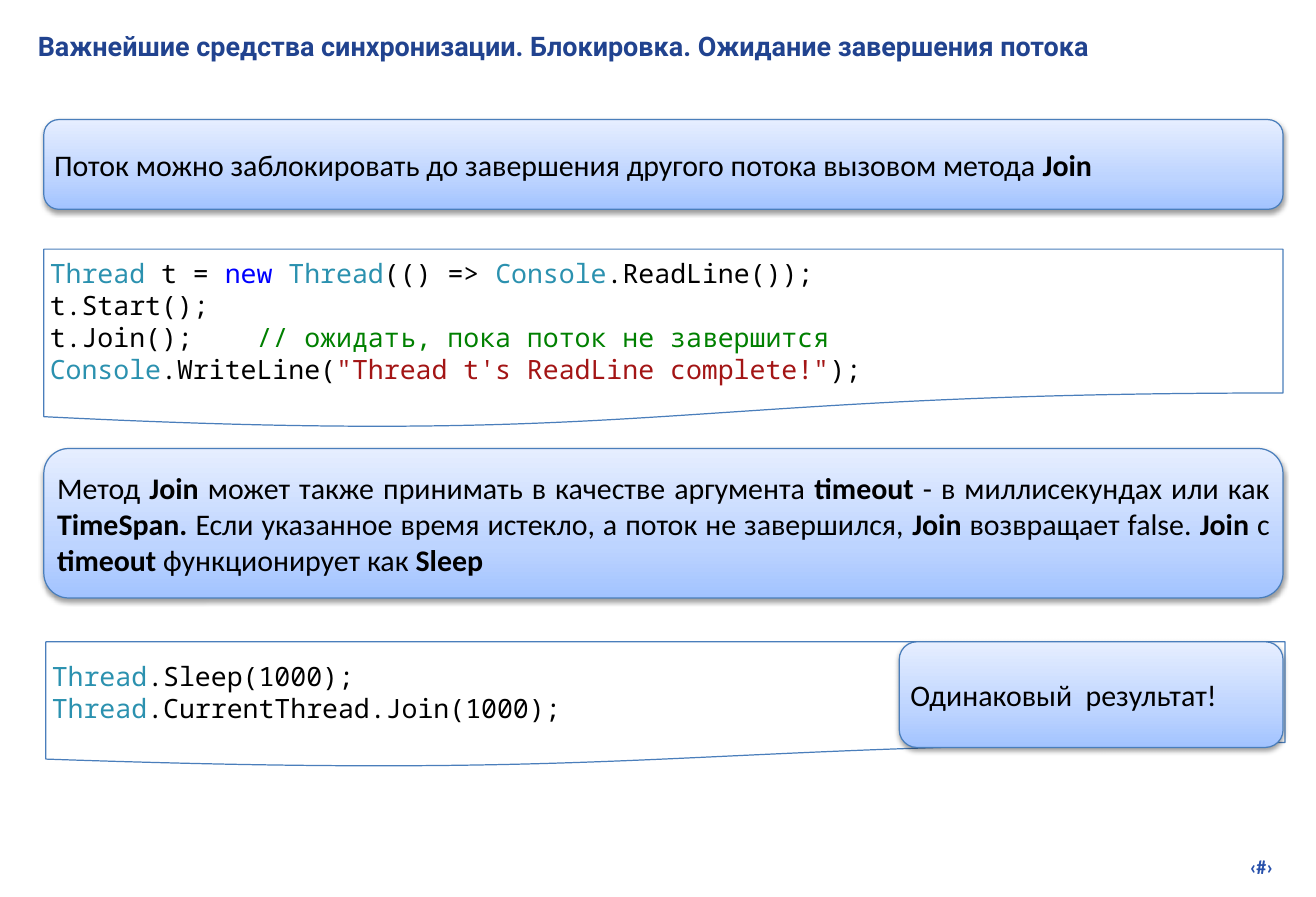
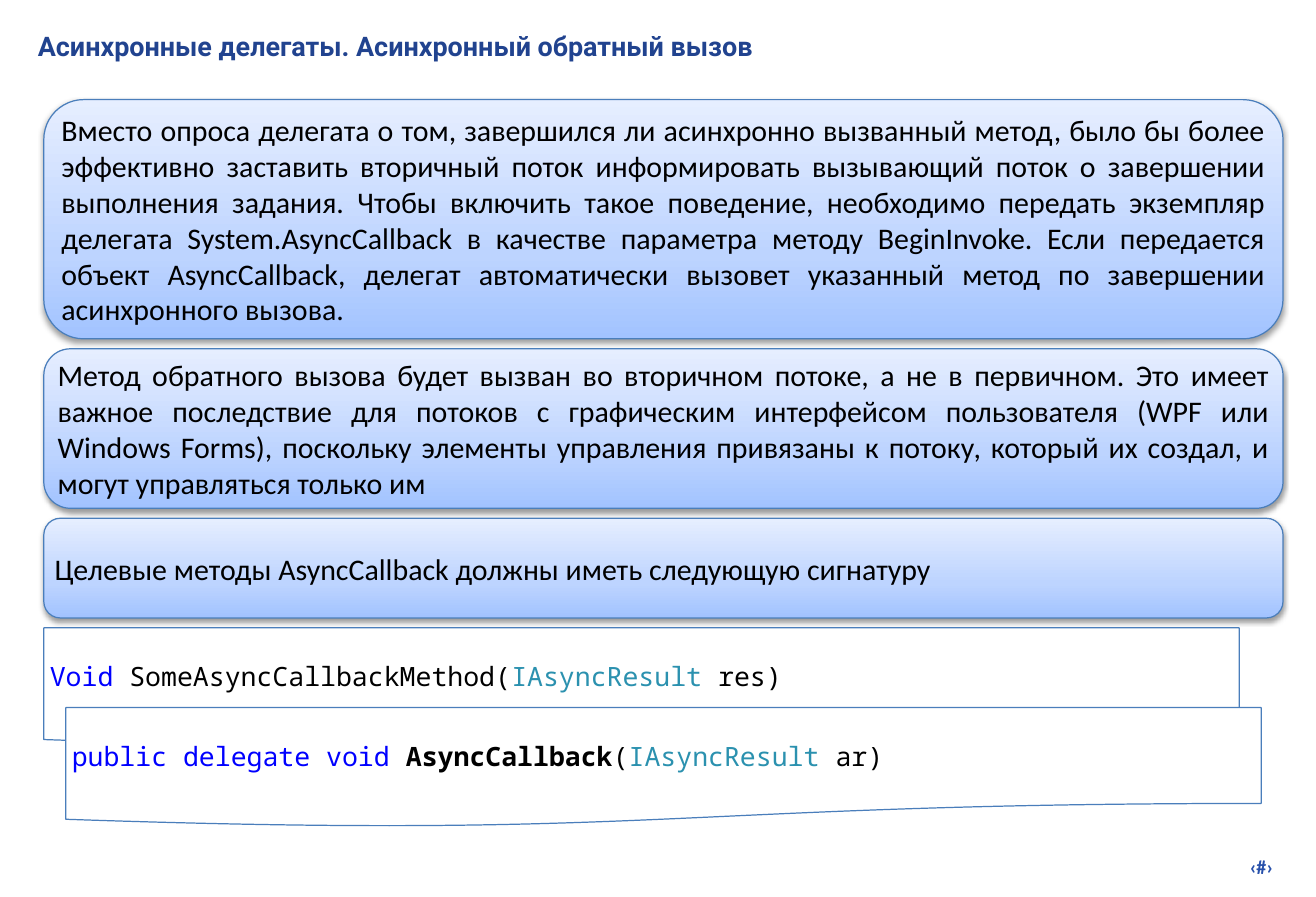
from copy import deepcopy

from lxml.etree import SubElement
from pptx import Presentation
from pptx.dml.color import RGBColor
from pptx.enum.shapes import MSO_SHAPE as Shape
from pptx.enum.text import MSO_ANCHOR as Anchor, PP_ALIGN as Align
from pptx.oxml.ns import qn
from pptx.util import Emu, Pt

SCALE = 7620
LEFT, WIDTH = 44, 1243
INSET = 6
PROSE, CODE, HEADING = "Calibri", "Noto Sans Mono", "Roboto"
BLACK, WHITE, OUTLINE = "000000", "FFFFFF", "4A7EBB"
TITLE, NUMBER = "21438F", "2750AB"
TYPE, KEYWORD, REMARK, STRING = "2B91AF", "0000FF", "008000", "A31515"
GRADIENT = [(0, "A2C3FF"), (0.35, "BDD4FF"), (1, "E6EEFF")]


def px(length):
    return Emu(length * SCALE)


def colour(value):
    return RGBColor.from_string(value)


def add_text(para, text, font=PROSE, size=18, color=BLACK, bold=False):
    span = para.add_run()
    span.text = text
    span.font.name = font
    span.font.size = Pt(size)
    span.font.color.rgb = colour(color)
    span.font.bold = bold


def prepare_frame(box, anchor):
    frame = box.text_frame
    frame.word_wrap = True
    frame.vertical_anchor = anchor
    frame.margin_left = frame.margin_right = px(INSET)
    frame.margin_top = frame.margin_bottom = px(INSET)
    return frame


def add_label(page, bounds, text, align=Align.LEFT, **style):
    box = page.shapes.add_textbox(*map(px, bounds))
    para = prepare_frame(box, Anchor.TOP).paragraphs[0]
    para.alignment = align
    add_text(para, text, bold=True, **style)


def add_outlined(page, kind, bounds):
    box = page.shapes.add_shape(kind, *map(px, bounds))
    box.shadow.inherit = False
    box.line.color.rgb = colour(OUTLINE)
    box.line.width = Pt(0.75)
    return box


def fill_gradient(box):
    box.fill.gradient()
    box.fill.gradient_angle = 90
    stop_list = box.element.spPr.find(qn("a:gradFill")).find(qn("a:gsLst"))
    stop_list.insert(1, deepcopy(stop_list[0]))
    for stop, (position, value) in zip(box.fill.gradient_stops, GRADIENT):
        stop.position = position
        stop.color.rgb = colour(value)


def add_shadow(box):
    effects = box.element.spPr.find(qn("a:effectLst"))
    shadow = SubElement(effects, qn("a:outerShdw"), blurRad="40000",
                        dist="20000", dir="5400000", rotWithShape="0")
    shade = SubElement(shadow, qn("a:srgbClr"), val=BLACK)
    SubElement(shade, qn("a:alpha"), val="38000")


def add_statement(page, top, height, text, left=LEFT, width=WIDTH):
    box = add_outlined(page, Shape.ROUNDED_RECTANGLE, (left, top, width, height))
    fill_gradient(box)
    add_shadow(box)
    para = prepare_frame(box, Anchor.MIDDLE).paragraphs[0]
    para.alignment = Align.JUSTIFY
    for index, part in enumerate(text.split("**")):
        if part:
            add_text(para, part, bold=index % 2 == 1)


def add_code(page, bounds, lines):
    box = add_outlined(page, Shape.FLOWCHART_DOCUMENT, bounds)
    box.fill.solid()
    box.fill.fore_color.rgb = colour(WHITE)
    frame = prepare_frame(box, Anchor.MIDDLE)
    for index, line in enumerate(lines):
        para = frame.add_paragraph() if index else frame.paragraphs[0]
        para.alignment = Align.LEFT
        for text, color, *bold in line:
            add_text(para, text, font=CODE, size=16, color=color, bold=bool(bold))


def add_page(deck, title):
    page = deck.slides.add_slide(deck.slide_layouts[6])
    add_label(page, (1003, 852, 280, 35), "‹#›", Align.RIGHT, size=12, color=NUMBER)
    add_label(page, (32, 24, 1260, 48), title, font=HEADING, size=16.2, color=TITLE)
    return page


def build_join_page(deck):
    page = add_page(deck, "Важнейшие средства синхронизации. Блокировка. Ожидание завершения потока")
    add_statement(page, 120, 90,
                  "Поток можно заблокировать до завершения другого потока вызовом метода **Join**")
    add_code(page, (LEFT, 250, WIDTH, 180), [
        [("Thread", TYPE), (" t = ", BLACK), ("new ", KEYWORD), ("Thread", TYPE),
         ("(() => ", BLACK), ("Console", TYPE), (".ReadLine());", BLACK)],
        [("t.Start();", BLACK)],
        [("t.Join();    ", BLACK), ("// ожидать, пока поток не завершится", REMARK)],
        [("Console", TYPE), (".WriteLine(", BLACK),
         ("\"Thread t's ReadLine complete!\"", STRING), (");", BLACK)],
    ])
    add_statement(page, 450, 150,
                  "Метод **Join** может также принимать в качестве аргумента **timeout **"
                  "- в миллисекундах или как **TimeSpan.** Если указанное время истекло, "
                  "а поток не завершился, **Join** возвращает false. **Join** с "
                  "**timeout **функционирует как **Sleep**")
    add_code(page, (46, 644, WIDTH, 126), [
        [("Thread", TYPE), (".Sleep(1000);", BLACK)],
        [("Thread", TYPE), (".CurrentThread.Join(1000);", BLACK)],
    ])
    add_statement(page, 644, 106, "Одинаковый  результат!", left=902, width=385)


def build_callback_page(deck):
    page = add_page(deck, "Асинхронные делегаты. Асинхронный обратный вызов")
    add_statement(page, 100, 240,
                  "Вместо опроса делегата о том, завершился ли асинхронно вызванный метод, "
                  "было бы более эффективно заставить вторичный поток информировать "
                  "вызывающий поток о завершении выполнения задания. Чтобы включить такое "
                  "поведение, необходимо передать экземпляр делегата System.AsyncCallback "
                  "в качестве параметра методу BeginInvoke. Если передается объект "
                  "AsyncCallback, делегат автоматически вызовет указанный метод по "
                  "завершении асинхронного вызова.")
    add_statement(page, 350, 160,
                  "Метод обратного вызова будет вызван во вторичном потоке, а не в первичном. "
                  "Это имеет важное последствие для потоков с графическим интерфейсом "
                  "пользователя (WPF или Windows Forms), поскольку элементы управления "
                  "привязаны к потоку, который их создал, и могут управляться только им")
    add_statement(page, 520, 100,
                  "Целевые методы AsyncCallback должны иметь следующую сигнатуру")
    add_code(page, (LEFT, 630, 1199, 120), [
        [("Void ", KEYWORD), ("SomeAsyncCallbackMethod(", BLACK),
         ("IAsyncResult ", TYPE), ("res)", BLACK)],
    ])
    add_code(page, (66, 710, 1199, 120), [
        [("public delegate void ", KEYWORD), ("AsyncCallback", BLACK, True),
         ("(", BLACK), ("IAsyncResult", TYPE), (" ar)", BLACK)],
    ])


def main():
    deck = Presentation()
    deck.slide_width, deck.slide_height = px(1320), px(900)
    build_join_page(deck)
    build_callback_page(deck)
    deck.save("out.pptx")


if __name__ == "__main__":
    main()
